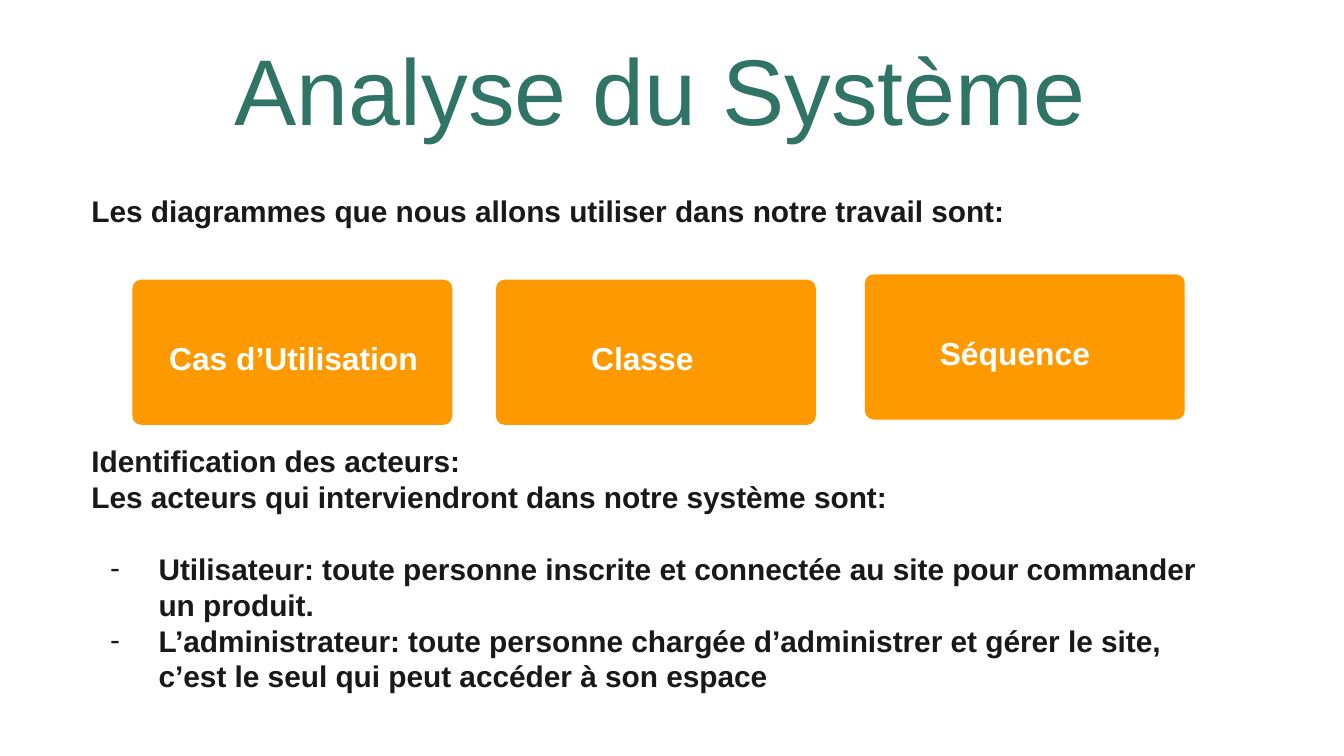
from lxml.etree import SubElement
from pptx import Presentation
from pptx.dml.color import RGBColor
from pptx.enum.shapes import MSO_SHAPE as Shape
from pptx.enum.text import MSO_ANCHOR as Anchor, MSO_AUTO_SIZE as AutoSize, PP_ALIGN as Align
from pptx.oxml.ns import qn
from pptx.util import Inches, Pt

# Content
TITLE = "Analyse du Système"
# (text, bulleted, blank lines above)
BODY = [
    ("Les diagrammes que nous allons utiliser dans notre travail sont:", False, 0),
    ("Identification des acteurs:", False, 6),
    ("Les acteurs qui interviendront dans notre système sont:", False, 0),
    ("Utilisateur: toute personne inscrite et connectée au site pour commander un produit.", True, 1),
    ("L’administrateur: toute personne chargée d’administrer et gérer le site, "
     "c’est le seul qui peut accéder à son espace", True, 0),
]
# (label, card left, card top, label left, label width), in percent of the slide
CARDS = [
    ("Cas d’Utilisation", 9.85, 37, 11.6, 21.5),
    ("Classe", 36.9, 37, 43, 11.3),
    ("Séquence", 64.35, 36.3, 68.95, 16.4),
]

# Theme and layout, lengths in percent of the slide
THEME = {
    "font": "Arial",
    "green": RGBColor(0x30, 0x74, 0x66),
    "ink": RGBColor(0x19, 0x19, 0x19),
    "orange": RGBColor(0xFF, 0x99, 0x00),
    "white": RGBColor(0xFF, 0xFF, 0xFF),
    "title": 50, "body": 16, "label": 17,
}
WIDTH = Inches(10)
HEIGHT = WIDTH * 9 // 16
TITLE_BOX = (10.9, -9, 76.5, 44.1)
BODY_BOX = (5.8, 23.65, 84.5, 70.6)
CARD_WIDTH, CARD_HEIGHT = 23.8, 19.2
LABEL_DROP, LABEL_HEIGHT = 6.05, 8.7
LINE_PITCH = 1.2 * THEME["body"]


def place(left, top, width, height):
    return (int(WIDTH * left / 100), int(HEIGHT * top / 100),
            int(WIDTH * width / 100), int(HEIGHT * height / 100))


def set_all(target, values):
    for name, value in values.items():
        setattr(target, name, value)


def move(shape, box):
    set_all(shape, dict(zip(("left", "top", "width", "height"), place(*box))))


def format_frame(frame, anchor=Anchor.TOP):
    margins = {f"margin_{side}": Inches(0.1) for side in ("left", "top", "right", "bottom")}
    set_all(frame, {**margins, "word_wrap": True, "auto_size": AutoSize.NONE,
                    "vertical_anchor": anchor})


def write(paragraph, text, size, color, bold):
    run = paragraph.add_run()
    run.text = text
    set_all(run.font, {"name": THEME["font"], "size": Pt(THEME[size]), "bold": bold})
    run.font.color.rgb = THEME[color]


def set_bullet(paragraph, bulleted):
    properties = paragraph._p.get_or_add_pPr()
    properties.set("marL", str(Inches(0.5) if bulleted else 0))
    properties.set("indent", str(Inches(-0.36) if bulleted else 0))
    if bulleted:
        SubElement(properties, qn("a:buChar")).set("char", "-")
    else:
        SubElement(properties, qn("a:buNone"))


presentation = Presentation()
set_all(presentation, {"slide_width": WIDTH, "slide_height": HEIGHT})
slide = presentation.slides.add_slide(presentation.slide_layouts[1])

# Title
title = slide.shapes.title
move(title, TITLE_BOX)
format_frame(title.text_frame, Anchor.MIDDLE)
heading = title.text_frame.paragraphs[0]
set_all(heading, {"alignment": Align.CENTER, "line_spacing": 0.8})
write(heading, TITLE, "title", "green", False)

# Body text, with room left for the cards
body = slide.placeholders[1]
move(body, BODY_BOX)
format_frame(body.text_frame)
for index, (text, bulleted, blank_lines) in enumerate(BODY):
    paragraph = body.text_frame.add_paragraph() if index else body.text_frame.paragraphs[0]
    set_bullet(paragraph, bulleted)
    set_all(paragraph, {"alignment": Align.LEFT, "line_spacing": 1.0,
                        "space_before": Pt(blank_lines * LINE_PITCH)})
    write(paragraph, text, "body", "ink", True)

# Diagram cards and their labels
for text, left, top, label_left, label_width in CARDS:
    card = slide.shapes.add_shape(Shape.ROUNDED_RECTANGLE,
                                  *place(left, top, CARD_WIDTH, CARD_HEIGHT))
    card.adjustments[0] = 0.06
    card.shadow.inherit = False
    card.fill.solid()
    card.fill.fore_color.rgb = THEME["orange"]
    card.line.fill.background()
    label = slide.shapes.add_textbox(
        *place(label_left, top + LABEL_DROP, label_width, LABEL_HEIGHT))
    format_frame(label.text_frame)
    write(label.text_frame.paragraphs[0], text, "label", "white", True)

presentation.save("out.pptx")
